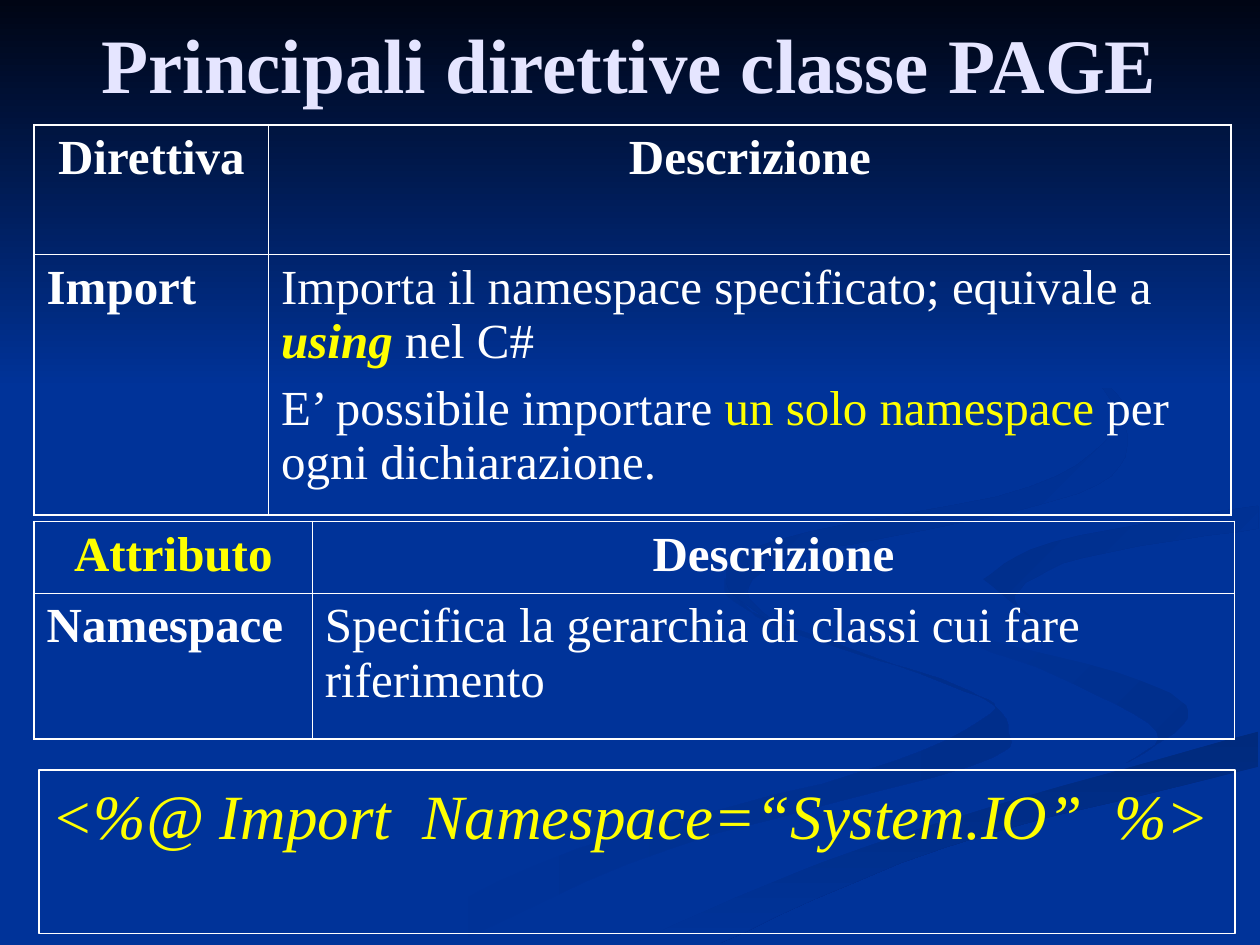
from typing import NamedTuple, Optional

from lxml.etree import SubElement
from pptx import Presentation
from pptx.dml.color import RGBColor
from pptx.enum.shapes import MSO_SHAPE
from pptx.enum.text import MSO_ANCHOR, MSO_AUTO_SIZE, PP_ALIGN
from pptx.oxml.ns import qn
from pptx.util import Pt

FONT = "Times New Roman"
WHITE = RGBColor(0xFF, 0xFF, 0xFF)
YELLOW = RGBColor(0xFF, 0xFF, 0x00)
LILAC = RGBColor(0xE5, 0xE5, 0xFF)
BLUE = RGBColor(0x00, 0x33, 0x99)
DUSK = RGBColor(0x00, 0x2E, 0x8B)
DEEP = RGBColor(0x00, 0x2A, 0x7D)
NIGHT = RGBColor(0x00, 0x05, 0x14)
OUTER, INNER = 1.08, 0.45
STEPS = 6

# Curves that two neighbouring ribbons share
BEND = [(521, 334), (546, 359), (652, 389), (679, 410), (644, 436)]
SHORE = [(362, 539), (454, 499), (550, 466), (719, 418)]
RIM = [(562, 331), (601, 310), (719, 289)]


class Blend(NamedTuple):
    start: RGBColor
    end: RGBColor
    angle: int  # clockwise degrees


class Ribbon(NamedTuple):
    curves: list
    blend: Optional[Blend] = None


class Run(NamedTuple):
    text: str
    color: Optional[RGBColor] = None
    strong: bool = False


class Cell(NamedTuple):
    paras: list
    color: RGBColor = WHITE
    bold: bool = False
    center: bool = False


class Grid(NamedTuple):
    top: float
    cols: list
    rows: list
    cells: list


RIBBONS = [
    Ribbon([[(414, 330), (428, 349), (541, 391), (566, 408), (492, 441), (330, 485), (216, 539)],
            [(260, 539), (383, 485), (554, 438), (576, 418), (552, 394), (442, 357), (414, 330)]],
           Blend(BLUE, DUSK, 0)),
    Ribbon([BEND, [(644, 436), (661, 418), (603, 386), (537, 360), (521, 334)]],
           Blend(BLUE, DUSK, 45)),
    Ribbon([SHORE, [(719, 438), (541, 484), (411, 539)]], Blend(DEEP, BLUE, 90)),
    Ribbon([BEND + [(477, 481), (343, 539)], SHORE, [(719, 387), (624, 366), (566, 341)],
            RIM, [(719, 279), (567, 304), (521, 334)]]),
    Ribbon([RIM, [(719, 302), (618, 319), (580, 340), (595, 357)], [(595, 357), (562, 331)]],
           Blend(DUSK, BLUE, 45)),
    Ribbon([[(492, 310), (616, 282), (644, 248), (607, 198), (549, 168)],
            [(549, 168), (626, 215), (640, 241), (589, 278), (443, 309), (415, 333), (448, 360)],
            [(448, 360), (427, 338), (449, 320), (492, 310)]],
           Blend(DUSK, BLUE, 45)),
]

GRIDS = [
    Grid(71.3, [134, 550], [74.2, 149], [
        [Cell([[Run("Direttiva")]], bold=True, center=True),
         Cell([[Run("Descrizione")]], bold=True, center=True)],
        [Cell([[Run("Import")]], bold=True),
         Cell([[Run("Importa il namespace specificato; equivale a "),
                Run("using", YELLOW, True), Run(" nel C#")],
               [Run("E’ possibile importare "), Run("un solo namespace ", YELLOW),
                Run("per ogni dichiarazione.")]])]]),
    Grid(298, [159, 527], [40.8, 83.4], [
        [Cell([[Run("Attributo")]], YELLOW, bold=True, center=True),
         Cell([[Run("Descrizione")]], bold=True, center=True)],
        [Cell([[Run("Namespace")]], bold=True),
         Cell([[Run("Specifica la gerarchia di classi cui fare riferimento")]])]]),
]


def smooth(knots: list) -> list:
    """Return points on a Catmull-Rom curve through the knots."""
    ends = [knots[0], *knots, knots[-1]]
    points = [knots[0]]
    for a, b, c, d in zip(ends, ends[1:], ends[2:], ends[3:]):
        for step in range(1, STEPS + 1):
            t = step / STEPS
            points.append(tuple(
                q + t / 2 * (r - p + t * (2 * p - 5 * q + 4 * r - s
                                          + t * (3 * (q - r) + s - p)))
                for p, q, r, s in zip(a, b, c, d)))
    return points


def paint(shape, blend: Optional[Blend]) -> None:
    shape.shadow.inherit = False
    shape.line.fill.background()
    if blend is None:
        shape.fill.solid()
        shape.fill.fore_color.rgb = BLUE
        return
    shape.fill.gradient()
    shape.fill.gradient_angle = -blend.angle % 360
    for stop, color in zip(shape.fill.gradient_stops, (blend.start, blend.end)):
        stop.color.rgb = color


def draw_ribbon(slide, item: Ribbon) -> None:
    points = [point for curve in item.curves for point in smooth(curve)]
    pen = slide.shapes.build_freeform(*points[0], scale=Pt(1))
    pen.add_line_segments(points[1:], close=True)
    paint(pen.convert_to_shape(), item.blend)


def style(para, size: float, color: RGBColor, bold: bool = False,
          italic: bool = False) -> None:
    font = para.font
    font.name, font.size, font.bold, font.italic = FONT, Pt(size), bold, italic
    font.color.rgb = color


def add_edge(cell, side: str, width: float) -> None:
    line = SubElement(cell._tc.get_or_add_tcPr(), qn(f"a:ln{side}"), w=str(Pt(width)))
    fill = SubElement(line, qn("a:solidFill"))
    SubElement(fill, qn("a:srgbClr"), val=str(WHITE))


def fill_cell(cell, data: Cell) -> None:
    frame = cell.text_frame
    for i, runs in enumerate(data.paras):
        para = frame.add_paragraph() if i else frame.paragraphs[0]
        para.alignment = PP_ALIGN.CENTER if data.center else PP_ALIGN.LEFT
        if i:
            para.space_before = Pt(7)
        style(para, 28, data.color, data.bold)
        for item in runs:
            run = para.add_run()
            run.text = item.text
            if item.color is not None:
                run.font.color.rgb = item.color
            if item.strong:
                run.font.bold = run.font.italic = True


def draw_grid(slide, grid: Grid) -> None:
    rows, cols = len(grid.rows), len(grid.cols)
    table = slide.shapes.add_table(rows, cols, Pt(19.5), Pt(grid.top),
                                   Pt(sum(grid.cols)), Pt(sum(grid.rows))).table
    table.first_row = table.horz_banding = False
    for col, width in zip(table.columns, grid.cols):
        col.width = Pt(width)
    for r, height in enumerate(grid.rows):
        table.rows[r].height = Pt(height)
        for c in range(cols):
            cell = table.cell(r, c)
            outer = {"L": c == 0, "R": c == cols - 1, "T": r == 0, "B": r == rows - 1}
            for side, edge in outer.items():
                add_edge(cell, side, OUTER if edge else INNER)
            cell.fill.background()
            fill_cell(cell, grid.cells[r][c])


def draw_title(slide) -> None:
    title = slide.shapes.title
    slide.shapes._spTree.append(title._element)  # above the backdrop
    title.left, title.top, title.width, title.height = Pt(36), Pt(0), Pt(648), Pt(71.3)
    frame = title.text_frame
    frame.text = "Principali direttive classe PAGE"
    frame.auto_size, frame.word_wrap = MSO_AUTO_SIZE.NONE, True
    frame.vertical_anchor = MSO_ANCHOR.MIDDLE
    frame.paragraphs[0].alignment = PP_ALIGN.CENTER
    style(frame.paragraphs[0], 44, LILAC, bold=True)


def draw_code(slide) -> None:
    box = slide.shapes.add_shape(MSO_SHAPE.RECTANGLE, Pt(22.3), Pt(440), Pt(683.5), Pt(93.6))
    box.shadow.inherit = False
    box.fill.background()
    box.line.color.rgb, box.line.width = WHITE, Pt(0.75)
    frame = box.text_frame
    frame.text = "<%@ Import  Namespace=“System.IO”  %>"
    frame.word_wrap, frame.vertical_anchor = True, MSO_ANCHOR.TOP
    frame.paragraphs[0].alignment = PP_ALIGN.LEFT
    style(frame.paragraphs[0], 36, YELLOW, italic=True)


def main() -> None:
    deck = Presentation()
    deck.slide_width, deck.slide_height = Pt(720), Pt(540)
    slide = deck.slides.add_slide(deck.slide_layouts[5])
    slide.background.fill.solid()
    slide.background.fill.fore_color.rgb = BLUE
    for item in RIBBONS:
        draw_ribbon(slide, item)
    band = slide.shapes.add_shape(MSO_SHAPE.RECTANGLE, 0, 0, Pt(720), Pt(222))
    paint(band, Blend(NIGHT, BLUE, 90))
    draw_title(slide)
    for grid in GRIDS:
        draw_grid(slide, grid)
    draw_code(slide)
    deck.save("out.pptx")


if __name__ == "__main__":
    main()
